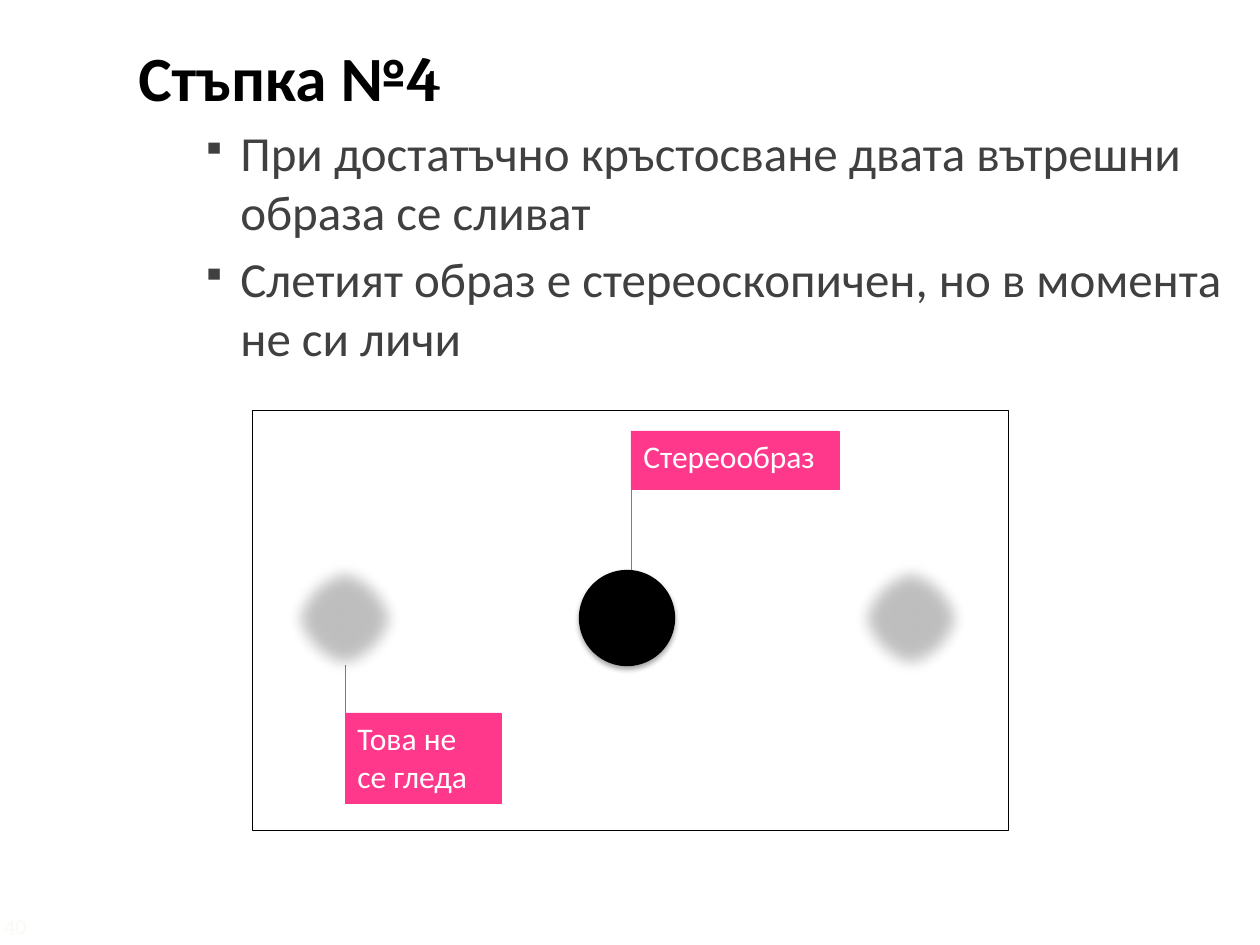
"""Build the slide on step 4: the two inner images merge into a stereo image."""
from lxml import etree
from pptx import Presentation
from pptx.dml.color import RGBColor
from pptx.enum.shapes import MSO_CONNECTOR, MSO_SHAPE
from pptx.enum.text import MSO_ANCHOR, PP_ALIGN
from pptx.oxml.ns import qn
from pptx.util import Pt

RECTANGLE, OVAL = MSO_SHAPE.RECTANGLE, MSO_SHAPE.OVAL
STRAIGHT = MSO_CONNECTOR.STRAIGHT
TOP, LEFT = MSO_ANCHOR.TOP, PP_ALIGN.LEFT
PX = 914400 / 126
BLACK, GREY, PINK, WHITE, PALE = "000000", "404040", "FF388C", "FFFFFF", "FAFAF5"


def px(*lengths):
    return [round(length * PX) for length in lengths]


def color(target, value):
    if hasattr(target, "solid"):
        target.solid()
        target = target.fore_color
    target.rgb = RGBColor.from_string(value)


presentation = Presentation()
presentation.slide_width, presentation.slide_height = px(1260, 945)
slide = presentation.slides.add_slide(presentation.slide_layouts[6])
shapes = slide.shapes

body = shapes.add_textbox(*px(126, 32, 1124, 903)).text_frame
body.word_wrap = True
title = body.paragraphs[0]
for text, font_name in (("Стъпка №", "Calibri"), ("4", "Cambria")):
    run = title.add_run()
    run.text = text
    run.font.name = font_name
title.font.size = Pt(36)
title.font.bold = True
color(title.font.color, BLACK)

indent, hanging = px(102, -39)
for text in (
    "При достатъчно кръстосване двата вътрешни образа се сливат",
    "Слетият образ е стереоскопичен, но в момента не си личи",
):
    paragraph = body.add_paragraph()
    paragraph.text = text
    paragraph.level = 1
    paragraph.space_before = Pt(5)
    properties = paragraph._p.get_or_add_pPr()
    properties.set("marL", str(indent))
    properties.set("indent", str(hanging))
    etree.SubElement(properties, qn("a:buSzPct"), val="70000")
    etree.SubElement(properties, qn("a:buChar"), char="▪")
    paragraph.font.name = "Calibri"
    paragraph.font.size = Pt(28)
    color(paragraph.font.color, GREY)

frame = shapes.add_shape(RECTANGLE, *px(252, 410, 756, 420))
frame.shadow.inherit = False
frame.fill.background()
color(frame.line.fill, BLACK)
frame.line.width = Pt(0.25)

for text, left, top, width, height, line_top, line_bottom in (
    ("Стереообраз", 631, 431, 208, 58, 431, 571),
    ("Това не се гледа", 345, 713, 156, 90, 665, 803),
):
    label = shapes.add_shape(RECTANGLE, *px(left, top, width, height))
    label.shadow.inherit = False
    color(label.fill, PINK)
    label.text_frame.word_wrap = True
    label.text_frame.vertical_anchor = TOP
    paragraph = label.text_frame.paragraphs[0]
    paragraph.text = text
    paragraph.alignment = LEFT
    paragraph.font.name = "Calibri"
    paragraph.font.size = Pt(18)
    color(paragraph.font.color, WHITE)
    leader = shapes.add_connector(STRAIGHT, *px(left, line_top, left, line_bottom))
    etree.SubElement(leader._element.spPr, qn("a:effectLst"))
    for outlined in (label, leader):
        color(outlined.line.fill, PINK)
        outlined.line.width = Pt(0.25)

for center, diameter, blurred in ((345, 122, True), (627, 95, False), (911, 122, True)):
    circle = shapes.add_shape(
        OVAL, *px(center - diameter / 2, 618 - diameter / 2, diameter, diameter)
    )
    circle.shadow.inherit = False
    color(circle.fill, BLACK)
    effects = circle._element.spPr.find(qn("a:effectLst"))
    shadow = etree.SubElement(
        effects, qn("a:outerShdw"), blurRad="39370", dist="22860", dir="5400000", rotWithShape="0"
    )
    shadow_color = etree.SubElement(shadow, qn("a:srgbClr"), val=BLACK)
    etree.SubElement(shadow_color, qn("a:alpha"), val="35000")
    if blurred:
        circle.line.fill.background()
        fill_color = circle._element.spPr.find(qn("a:solidFill"))[0]
        etree.SubElement(fill_color, qn("a:alpha"), val="20000")
        etree.SubElement(effects, qn("a:softEdge"), rad="112500")
    else:
        color(circle.line.fill, BLACK)
        circle.line.width = Pt(0.75)

number_frame = shapes.add_textbox(*px(5, 914, 60, 28)).text_frame
number_frame.margin_left = number_frame.margin_top = number_frame.margin_bottom = 0
number = number_frame.paragraphs[0]
number.text = "40"
number.font.name = "Calibri"
number.font.size = Pt(12)
color(number.font.color, PALE)

presentation.save("out.pptx")
